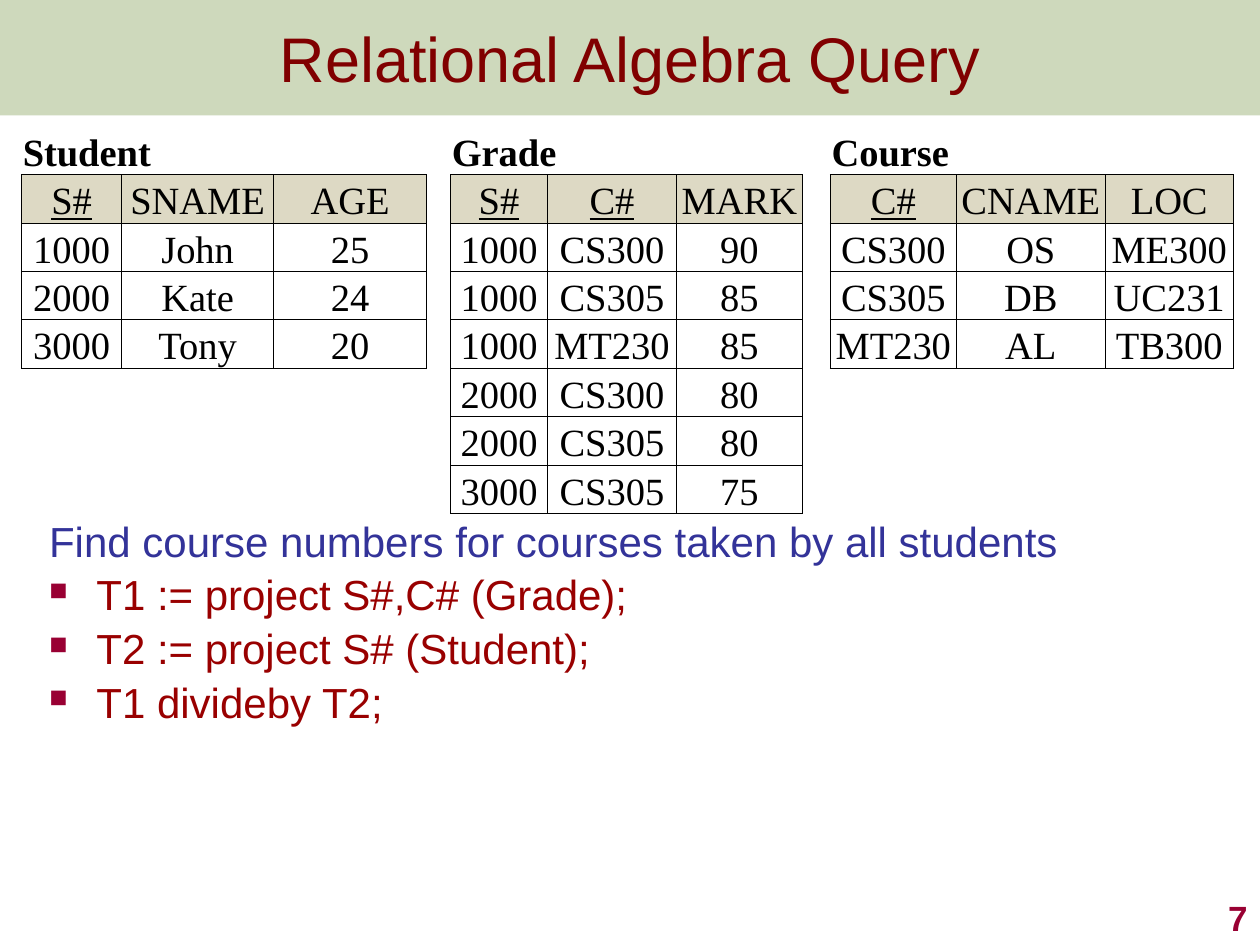
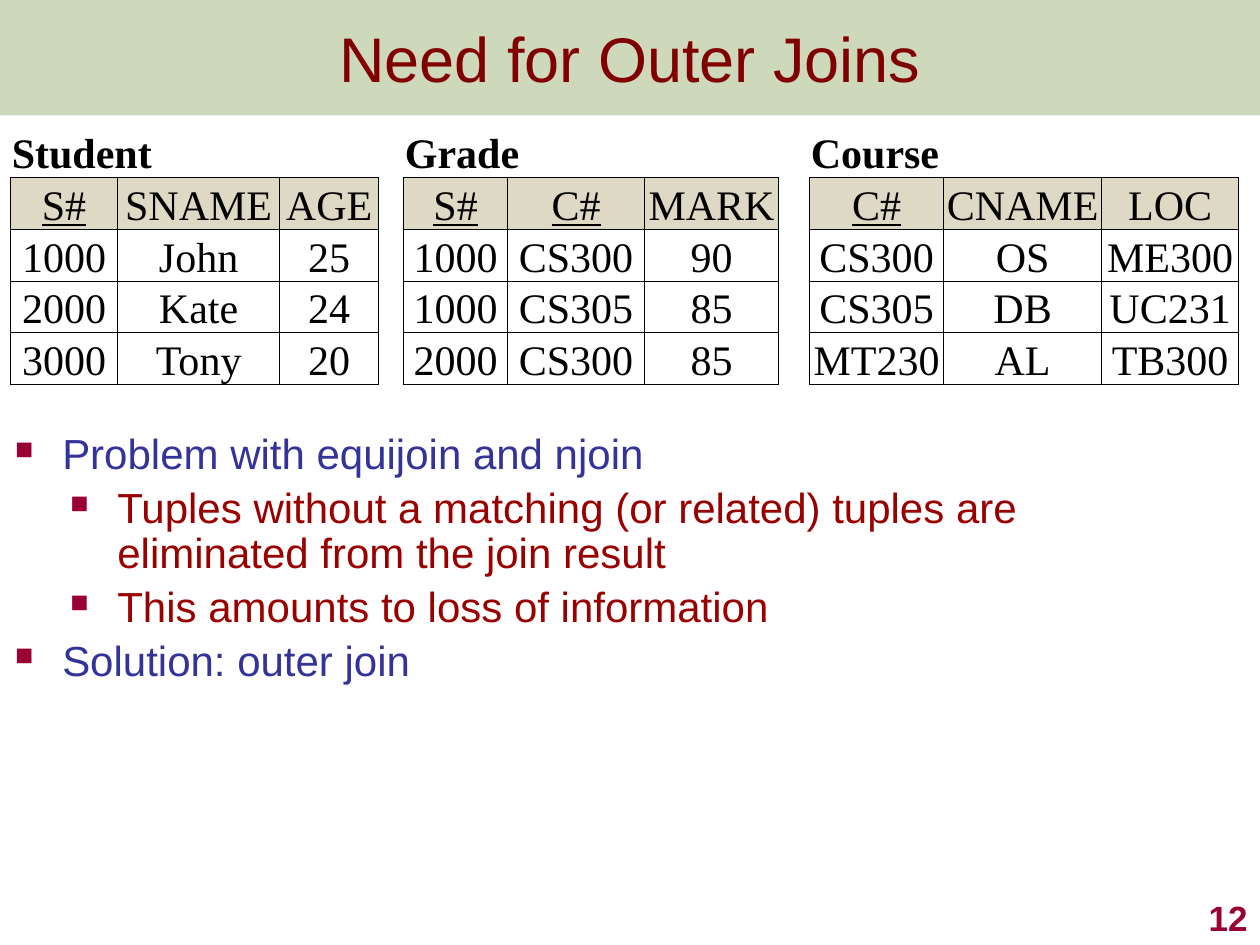
from lxml.etree import SubElement as Sub
from pptx import Presentation
from pptx.dml.color import RGBColor as RGB
from pptx.enum.shapes import MSO_SHAPE as Shape
from pptx.enum.text import MSO_ANCHOR as Anchor, PP_ALIGN as Align
from pptx.oxml.ns import qn
from pptx.util import Pt

SANS, SERIF = "Arial", "Times New Roman"
BAND, TITLE, MARK = "5F8422", "800000", "990033"
BLUE, RED = "333399", "990000"
HEAD, WHITE, BLACK = "DDD9C4", "FFFFFF", "000000"
PLAIN = "{2D5ABB26-0587-4C30-8999-92F81FD0307C}"
KEYS = {"S#", "C#"}

STUDENT = ("Student", [
    ("S#", "SNAME", "AGE"), ("1000", "John", "25"),
    ("2000", "Kate", "24"), ("3000", "Tony", "20")])
COURSE = ("Course", [
    ("C#", "CNAME", "LOC"), ("CS300", "OS", "ME300"),
    ("CS305", "DB", "UC231"), ("MT230", "AL", "TB300")])


def grade(*marks):
    return "Grade", [("S#", "C#", "MARK"), *marks]


def color(code):
    return RGB.from_string(code)


def style(para, font, size, code, bold=False, line=False):
    for run in para.runs:
        run.font.name = font
        run.font.size = Pt(size)
        run.font.color.rgb = color(code)
        run.font.bold = bold
        run.font.underline = line


def add_title(slide, text):
    band = slide.shapes.add_shape(Shape.RECTANGLE, 0, 0, Pt(720), Pt(66))
    band.shadow.inherit = False
    band.line.fill.background()
    band.fill.solid()
    band.fill.fore_color.rgb = color(BAND)
    tint = band.fill._xPr.find(".//" + qn("a:srgbClr"))
    Sub(tint, qn("a:alpha"), val="30000")
    frame = band.text_frame
    frame.text = text
    frame.vertical_anchor = Anchor.MIDDLE
    para = frame.paragraphs[0]
    para.alignment = Align.CENTER
    style(para, SANS, 36, TITLE)


def add_number(slide, num):
    box = slide.shapes.add_textbox(Pt(570), Pt(504), Pt(150), Pt(36))
    frame = box.text_frame
    frame.word_wrap = True
    frame.vertical_anchor = Anchor.BOTTOM
    frame.text = str(num)
    para = frame.paragraphs[0]
    para.alignment = Align.RIGHT
    style(para, SANS, 20, MARK, bold=True)


def add_bullet(para):
    props = para._p.get_or_add_pPr()
    Sub(Sub(props, qn("a:buClr")), qn("a:srgbClr"), val=MARK)
    Sub(props, qn("a:buSzPct"), val="60000")
    Sub(props, qn("a:buChar"), char="■")


def add_body(slide, left, top, height, items):
    box = slide.shapes.add_textbox(Pt(left), Pt(top), Pt(653), Pt(height))
    frame = box.text_frame
    frame.word_wrap = True
    frame.margin_right = 0
    for i, (text, code, level, dot) in enumerate(items):
        para = frame.add_paragraph() if i else frame.paragraphs[0]
        para.text = text
        para.level = level
        props = para._p.get_or_add_pPr()
        props.set("marL", str(Pt(27 + 31.5 * level)))
        props.set("indent", str(Pt(-27)))
        if dot:
            add_bullet(para)
        para.line_spacing = 0.9
        para.space_before = Pt(4.8 if i else 0)
        style(para, SANS, 24, code)


def add_edges(cell, sides):
    props = cell._tc.get_or_add_tcPr()
    for side in sides:
        edge = Sub(props, qn("a:ln" + side), w=str(Pt(0.5)))
        fill = Sub(edge, qn("a:solidFill"))
        Sub(fill, qn("a:srgbClr"), val=BLACK)


def fill_cell(cell, text, size, code, sides, bold=False):
    cell.text_frame.text = text
    cell.vertical_anchor = Anchor.BOTTOM
    add_edges(cell, sides)
    cell.fill.solid()
    cell.fill.fore_color.rgb = color(code)
    para = cell.text_frame.paragraphs[0]
    para.alignment = Align.LEFT if bold else Align.CENTER
    style(para, SERIF, size, BLACK, bold, text in KEYS)


def add_tables(slide, left, widths, pitch, size, groups):
    count = 1 + max(len(rows) for _, rows in groups)
    frame = slide.shapes.add_table(count, len(widths), Pt(left), Pt(72),
                                   Pt(sum(widths)), Pt(pitch * count))
    table = frame.table
    table.first_row = table.horz_banding = False
    table._tbl.tblPr.find(qn("a:tableStyleId")).text = PLAIN
    for col, width in zip(table.columns, widths):
        col.width = Pt(width)
    for row in table.rows:
        row.height = Pt(pitch)
    for cell in table.iter_cells():
        cell.margin_left = cell.margin_right = cell.margin_top = Pt(0.72)
        cell.margin_bottom = 0
    for g, (name, rows) in enumerate(groups):
        start = 4 * g
        head = table.cell(0, start)
        head.merge(table.cell(0, start + 2))
        fill_cell(head, name, size, WHITE, "B", bold=True)
        for r, row in enumerate(rows, 1):
            for c, text in enumerate(row, start):
                code = HEAD if r == 1 else WHITE
                fill_cell(table.cell(r, c), text, size, code, "LRTB")


def add_slide(deck, title, num):
    slide = deck.slides.add_slide(deck.slide_layouts[6])
    add_title(slide, title)
    add_number(slide, num)
    return slide


def main():
    deck = Presentation()
    deck.slide_width, deck.slide_height = Pt(720), Pt(540)

    query = add_slide(deck, "Relational Algebra Query", 7)
    add_body(query, 21, 294, 132, [
        ("Find course numbers for courses taken by all students", BLUE, 0, False),
        ("T1 := project S#,C# (Grade);", RED, 0, True),
        ("T2 := project S# (Student);", RED, 0, True),
        ("T1 divideby T2;", RED, 0, True)])
    marks = grade(
        ("1000", "CS300", "90"), ("1000", "CS305", "85"),
        ("1000", "MT230", "85"), ("2000", "CS300", "80"),
        ("2000", "CS305", "80"), ("3000", "CS305", "75"))
    widths = [57.2, 86.9, 87.4, 13.7, 55.4, 73.7, 72, 16, 72, 85.1, 73.1]
    add_tables(query, 12.3, widths, 27.7, 22, [STUDENT, marks, COURSE])

    joins = add_slide(deck, "Need for Outer Joins", 12)
    add_body(joins, 1.5, 244, 192, [
        ("Problem with equijoin and njoin", BLUE, 0, True),
        ("Tuples without a matching (or related) tuples are "
         "eliminated from the join result", RED, 1, True),
        ("This amounts to loss of information", RED, 1, True),
        ("Solution: outer join", BLUE, 0, True)])
    marks = grade(("1000", "CS300", "90"), ("1000", "CS305", "85"),
                  ("2000", "CS300", "85"))
    widths = [61.2, 92.6, 56.6, 14.3, 59.4, 78.3, 76.6, 17.7, 76.6, 90.3, 78.3]
    add_tables(joins, 6, widths, 27.4, 24, [STUDENT, marks, COURSE])

    deck.save("out.pptx")


if __name__ == "__main__":
    main()
